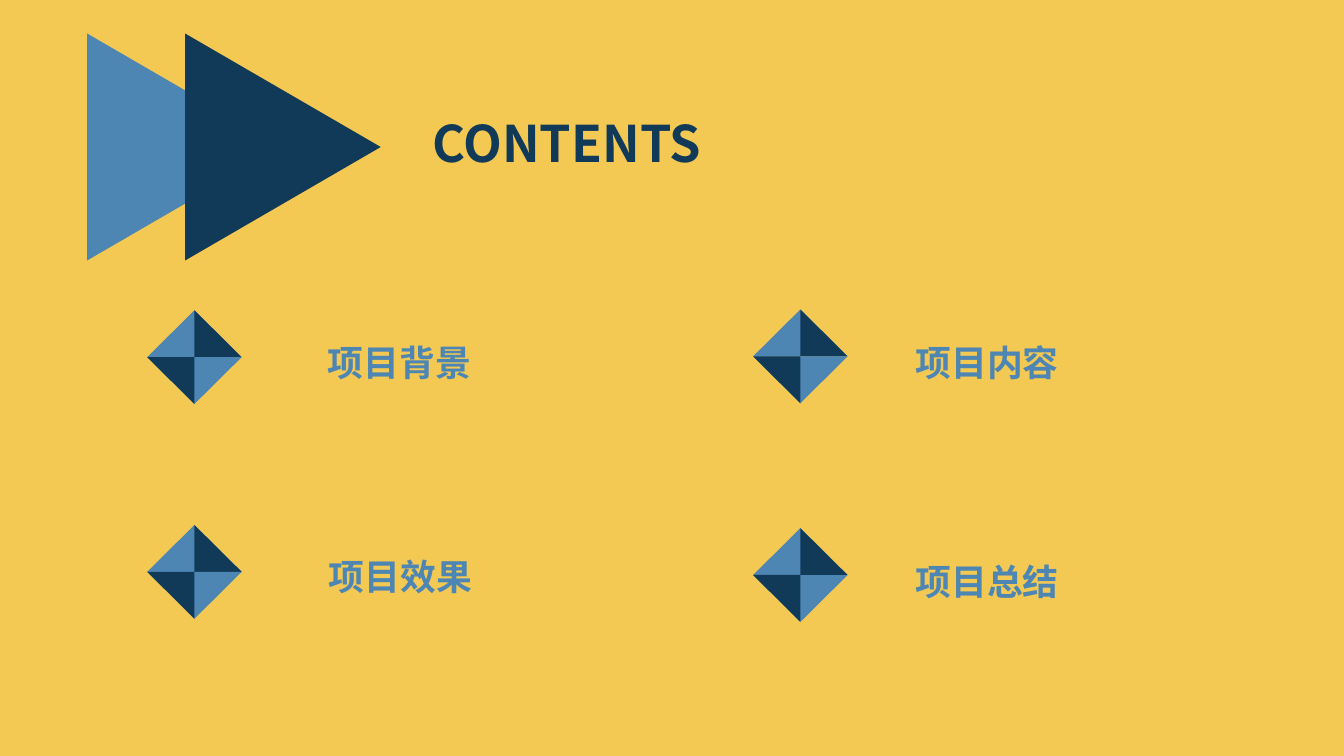
from dataclasses import dataclass

from lxml.etree import SubElement
from pptx import Presentation
from pptx.dml.color import RGBColor
from pptx.enum.shapes import MSO_SHAPE as Kind
from pptx.enum.text import MSO_ANCHOR as Anchor
from pptx.enum.text import MSO_AUTO_SIZE as Auto
from pptx.enum.text import PP_ALIGN as Align
from pptx.oxml.ns import qn
from pptx.util import Cm, Pt

COLORS = {"sand": "F3C953", "blue": "4D86B3", "navy": "113A59"}
FONT = "Noto Sans CJK SC"
WIDE, HALF = 2.38, 1.18


@dataclass
class Item:
    text: str
    left: float
    top: float
    text_left: float
    text_top: float


ITEMS = [
    Item("项目背景", 3.71, 7.82, 7.59, 8.26),
    Item("项目效果", 3.71, 13.23, 7.62, 13.64),
    Item("项目内容", 18.98, 7.8, 22.4, 8.26),
    Item("项目总结", 18.98, 13.31, 22.4, 13.79),
]


def paint(shape, color: str) -> None:
    shape.fill.solid()
    shape.fill.fore_color.rgb = RGBColor.from_string(COLORS[color])
    shape.line.fill.background()
    shape.shadow.inherit = False


def wedge(shapes, color: str, left: float, top: float, width: float,
          height: float, turn: int = 0) -> None:
    shape = shapes.add_shape(Kind.ISOSCELES_TRIANGLE, Cm(left), Cm(top),
                             Cm(width), Cm(height))
    shape.rotation = turn
    paint(shape, color)


def corner(shapes, left: float, top: float, side: int) -> None:
    mid_x, mid_y = left + WIDE / 2, top + HALF
    form = shapes.build_freeform(Cm(mid_x), Cm(mid_y - side * HALF))
    form.add_line_segments([(Cm(mid_x), Cm(mid_y)),
                            (Cm(mid_x + side * WIDE / 2), Cm(mid_y))])
    paint(form.convert_to_shape(), "navy")


def diamond(shapes, left: float, top: float) -> None:
    parts = shapes.add_group_shape().shapes
    wedge(parts, "blue", left, top, WIDE, HALF)
    corner(parts, left, top, 1)
    wedge(parts, "blue", left, top + HALF, WIDE, HALF, turn=180)
    corner(parts, left, top, -1)


def write(frame, text: str, *, size: int, color: str, align: Align,
          caps: bool = False, wrap: bool = True) -> None:
    frame.word_wrap = wrap
    frame.auto_size = Auto.SHAPE_TO_FIT_TEXT
    para = frame.paragraphs[0]
    para.alignment = align
    run = para.add_run()
    run.text = text
    font = run.font
    font.size, font.bold, font.name = Pt(size), True, FONT
    font.color.rgb = RGBColor.from_string(COLORS[color])
    props = run._r.get_or_add_rPr()
    SubElement(props, qn("a:ea")).set("typeface", FONT)
    if caps:
        props.set("cap", "small")


def label(shapes, item: Item) -> None:
    box = shapes.add_textbox(Cm(item.text_left), Cm(item.text_top),
                             Cm(4.95), Cm(1.55))
    frame = box.text_frame
    frame.margin_left = frame.margin_right = Cm(0.2)
    frame.margin_top = frame.margin_bottom = Cm(0.1)
    write(frame, item.text, size=32, color="blue", align=Align.CENTER,
          caps=True, wrap=False)


def main() -> None:
    deck = Presentation()
    deck.slide_width, deck.slide_height = Cm(33.87), Cm(19.05)
    slide = deck.slides.add_slide(deck.slide_layouts[5])
    back = slide.background.fill
    back.solid()
    back.fore_color.rgb = RGBColor.from_string(COLORS["sand"])

    shapes = slide.shapes
    for color, left in (("blue", 1.8), ("navy", 4.27)):
        wedge(shapes, color, left, 1.24, 5.72, 4.93, turn=90)

    title = shapes.title
    title.left, title.top = Cm(10.64), Cm(2.79)
    title.width, title.height = Cm(14.99), Cm(1.8)
    frame = title.text_frame
    frame.vertical_anchor = Anchor.MIDDLE
    write(frame, "CONTENTS", size=36, color="navy", align=Align.LEFT)
    frame.paragraphs[0].line_spacing = 0.9

    for item in ITEMS:
        diamond(shapes, item.left, item.top)
        label(shapes, item)

    deck.save("out.pptx")


if __name__ == "__main__":
    main()
